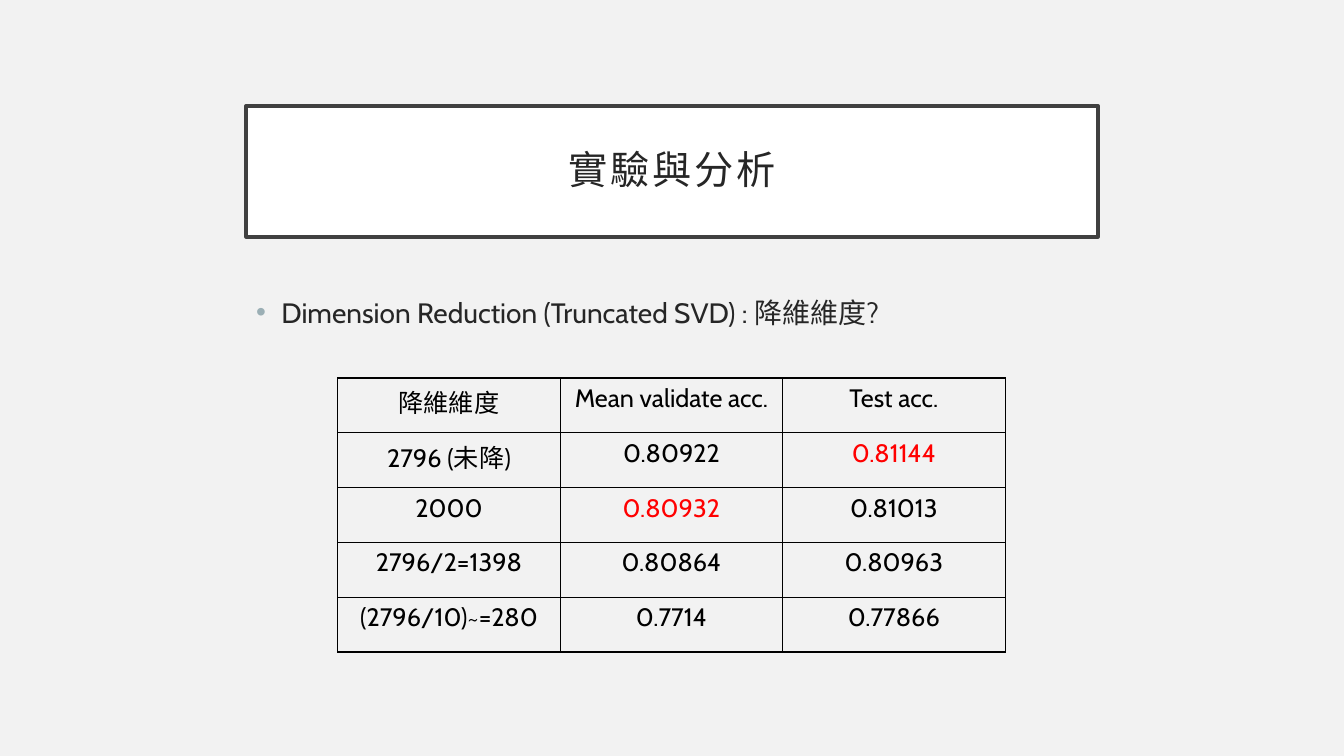
"""Build the slide on dimension reduction results with its accuracy table."""
import pptx
import pptx.util
import pptx.dml.color
import pptx.enum.text
import pptx.oxml
import pptx.oxml.ns
from pptx.util import Inches

COLORS = {"bg": "F2F2F2", "box": "FFFFFF", "frame": "404040", "text": "262626",
          "bullet": "9BAFB5", "cell": "000000", "best": "FF0000"}
ROWS = [
    ["降維維度", "Mean validate acc.", "Test acc."],
    ["2796 (未降)", "0.80922", "0.81144"],
    ["2000", "0.80932", "0.81013"],
    ["2796/2=1398", "0.80864", "0.80963"],
    ["(2796/10)~=280", "0.7714", "0.77866"],
]
BEST = {"0.81144", "0.80932"}
NS = pptx.oxml.ns.nsdecls("a")


def rgb(name):
    return pptx.dml.color.RGBColor.from_string(COLORS[name])


def set_font(p, size, color):
    p.font.name = "Cabin"
    p.font.size = pptx.util.Pt(size)
    p.font.color.rgb = rgb(color)


prs = pptx.Presentation()
prs.slide_width, prs.slide_height = Inches(13.33), Inches(7.5)
s = prs.slides.add_slide(prs.slide_layouts[1])
s.background.fill.solid()
s.background.fill.fore_color.rgb = rgb("bg")

title = s.shapes.title
title.left, title.top, title.width, title.height = (Inches(v) for v in (2.44, 1.05, 8.45, 1.3))
title.fill.solid()
title.fill.fore_color.rgb = rgb("box")
title.line.color.rgb = rgb("frame")
title.line.width = pptx.util.Pt(2.5)
tf = title.text_frame
tf.auto_size = pptx.enum.text.MSO_AUTO_SIZE.NONE
tf.vertical_anchor = pptx.enum.text.MSO_ANCHOR.MIDDLE
tf.margin_left = tf.margin_right = tf.margin_top = tf.margin_bottom = Inches(0.2)
p = tf.paragraphs[0]
r = p.add_run()
r.text = "實驗與分析"
p.alignment = pptx.enum.text.PP_ALIGN.CENTER
p.line_spacing = 0.9
set_font(p, 28, "text")
r.font._element.set("spc", "200")

body = s.placeholders[1]
body.left, body.top, body.width, body.height = (Inches(v) for v in (2.44, 2.88, 8.45, 3.39))
tf = body.text_frame
tf.auto_size = pptx.enum.text.MSO_AUTO_SIZE.NONE
p = tf.paragraphs[0]
p.text = "Dimension Reduction (Truncated SVD) : 降維維度?"
p.space_before = pptx.util.Pt(10)
set_font(p, 20, "text")
pPr = p._p.get_or_add_pPr()
pPr.set("marL", str(Inches(0.25)))
pPr.set("indent", str(-Inches(0.25)))
bullet = [f'<a:buClr {NS}><a:srgbClr val="{COLORS["bullet"]}"/></a:buClr>',
          f'<a:buFont {NS} typeface="Arial"/>', f'<a:buChar {NS} char="•"/>']
for i, xml in enumerate(bullet, 1):
    pPr.insert(i, pptx.oxml.parse_xml(xml))

table = s.shapes.add_table(len(ROWS), len(ROWS[0]), Inches(3.35), Inches(3.75),
                           Inches(6.62), Inches(2.72)).table
for i, row in enumerate(ROWS):
    for j, text in enumerate(row):
        cell = table.cell(i, j)
        cell.text = text
        p = cell.text_frame.paragraphs[0]
        p.alignment = pptx.enum.text.PP_ALIGN.CENTER
        set_font(p, 18, "best" if text in BEST else "cell")
        p.font.bold = False
        cell.fill.background()
        tcPr = cell._tc.get_or_add_tcPr()
        for k, side in enumerate(("lnL", "lnR", "lnT", "lnB")):
            tcPr.insert(k, pptx.oxml.parse_xml(
                f'<a:{side} {NS} w="12700"><a:solidFill><a:srgbClr val="{COLORS["cell"]}"/>'
                f'</a:solidFill></a:{side}>'))

prs.save("out.pptx")
